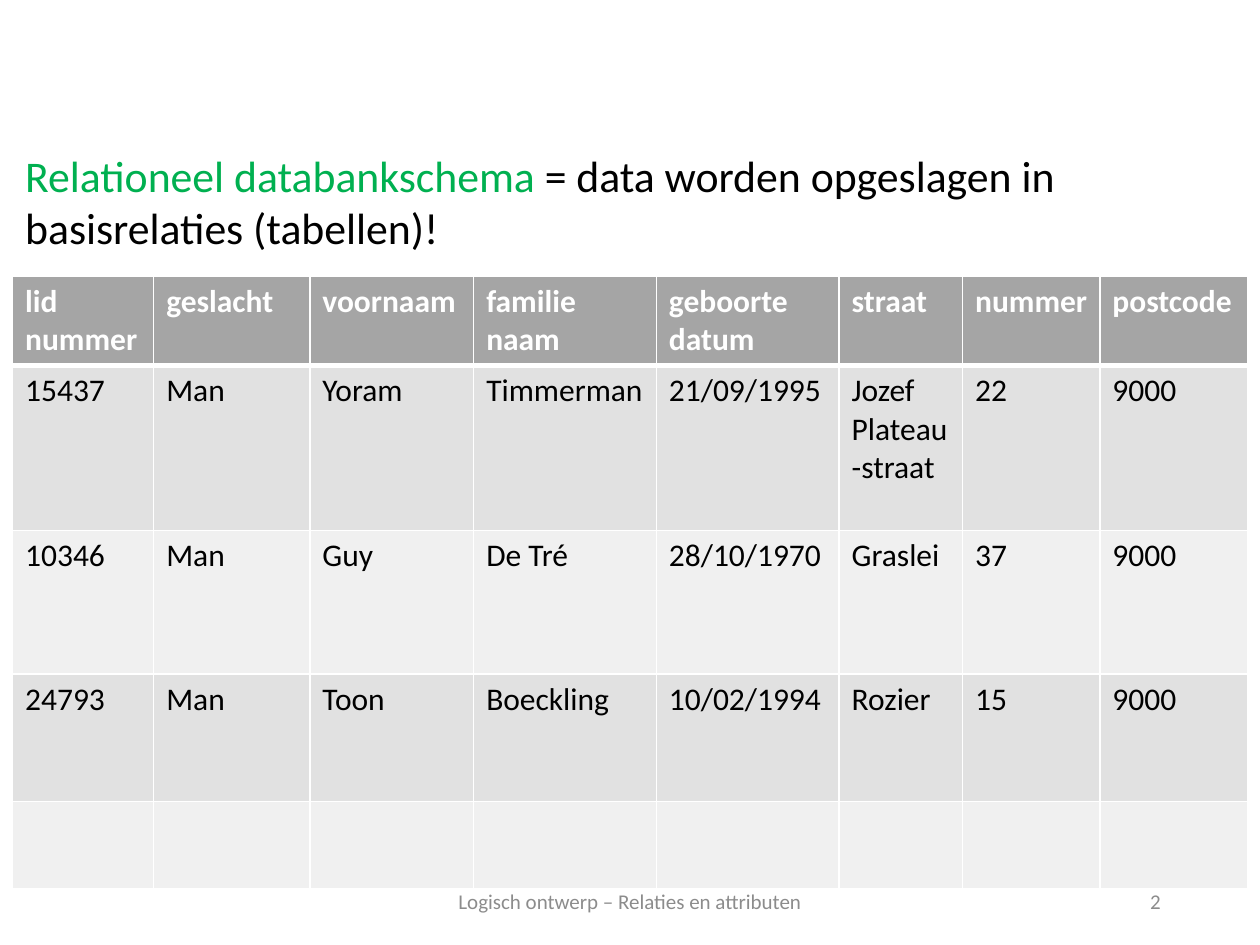
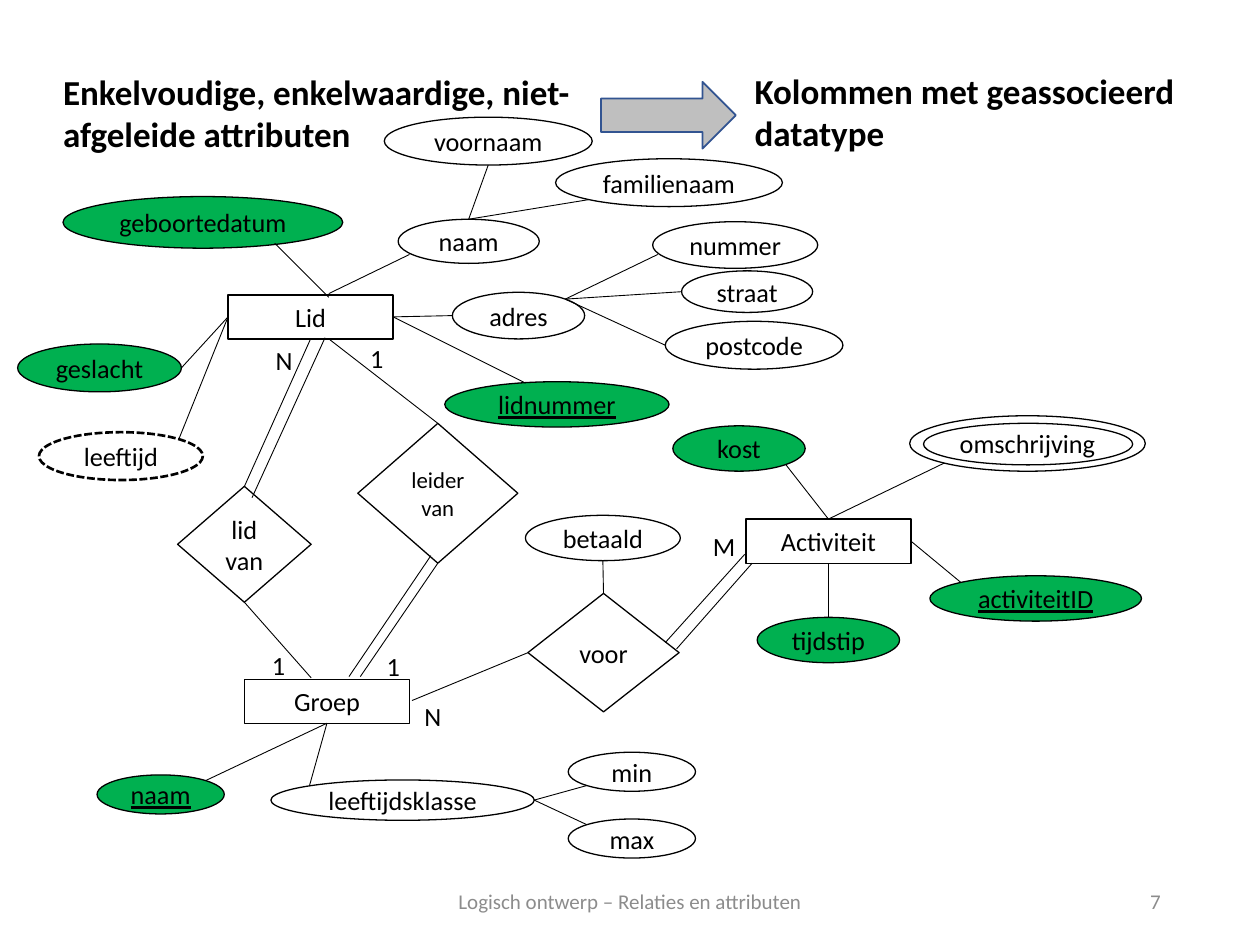
from dataclasses import dataclass
from math import sqrt

from lxml.etree import SubElement
from pptx import Presentation
from pptx.dml.color import RGBColor
from pptx.enum.dml import MSO_LINE
from pptx.enum.shapes import MSO_CONNECTOR, MSO_SHAPE
from pptx.enum.text import MSO_ANCHOR, MSO_AUTO_SIZE, PP_ALIGN
from pptx.oxml.ns import qn
from pptx.util import Inches, Pt


@dataclass(frozen=True)
class Theme:
    font: str = "Calibri"
    black: str = "000000"
    white: str = "FFFFFF"
    green: str = "00B050"
    footer_gray: str = "8C8C8C"
    arrow_fill: str = "BFBFBF"
    arrow_line: str = "325491"
    header_fill: str = "A5A5A5"
    band_fills: tuple = ("E1E1E1", "F0F0F0")
    statement_size: int = 25
    heading_size: int = 20
    table_size: int = 18
    node_size: int = 15
    small_size: int = 13
    footer_size: int = 12


THEME = Theme()
FOOTER = "Logisch ontwerp – Relaties en attributen"

# Table content; a line break starts a new paragraph
COLUMN_WIDTHS = [1.12, 1.24, 1.3, 1.45, 1.45, 0.98, 1.09, 1.17]
ROW_HEIGHTS = [0.71, 1.31, 1.14, 1.01, 0.69]
MEMBERS = [
    ["lid\nnummer", "geslacht", "voornaam", "familie\nnaam",
     "geboorte\ndatum", "straat", "nummer", "postcode"],
    ["15437", "Man", "Yoram", "Timmerman", "21/09/1995",
     "Jozef\nPlateau-straat", "22", "9000"],
    ["10346", "Man", "Guy", "De Tré", "28/10/1970", "Graslei", "37", "9000"],
    ["24793", "Man", "Toon", "Boeckling", "10/02/1994", "Rozier", "15", "9000"],
    [""] * 8,
]

# Entities and relationships: label, left, top, width, height
ENTITIES = [
    ("Lid", 1.81, 2.34, 1.31, 0.35),
    ("Groep", 1.94, 5.39, 1.31, 0.35),
    ("Activiteit", 5.92, 4.12, 1.31, 0.35),
]
RELATIONSHIPS = [
    ("lid van", 1.41, 3.86, 1.06, 0.92),
    ("leider van", 2.84, 3.36, 1.27, 1.11),
    ("voor", 4.19, 4.71, 1.2, 0.94),
]

# Attributes per kind; the part of a label before "/" only tells equal names apart
PLAIN_ATTRIBUTES = [
    ("straat", 5.41, 2.15, 1.04, 0.33),
    ("nummer", 5.18, 1.76, 1.31, 0.37),
    ("postcode", 5.28, 2.55, 1.41, 0.38),
    ("adres", 3.59, 2.32, 1.05, 0.37),
    ("leeftijdsklasse", 2.15, 6.19, 2.09, 0.32),
    ("min", 4.51, 5.97, 1.01, 0.31),
    ("max", 4.51, 6.5, 1.01, 0.31),
    ("betaald", 4.17, 4.09, 1.23, 0.36),
    ("omschrijving", 7.22, 3.3, 1.87, 0.44),
    ("Lid/naam", 3.16, 1.74, 1.12, 0.35),
    ("voornaam", 3.05, 0.93, 1.65, 0.38),
    ("familienaam", 4.41, 1.26, 1.8, 0.38),
]
MAPPED_ATTRIBUTES = [
    ("geslacht", 0.14, 2.73, 1.3, 0.38),
    ("kost", 5.34, 3.38, 1.05, 0.36),
    ("tijdstip", 6.01, 4.9, 1.13, 0.36),
    ("geboortedatum", 0.5, 1.56, 2.22, 0.41),
]
KEY_ATTRIBUTES = [
    ("Groep/naam", 0.77, 6.15, 1.01, 0.31),
    ("activiteitID", 7.38, 4.57, 1.68, 0.36),
    ("lidnummer", 3.53, 3.03, 1.78, 0.36),
]
DERIVED_ATTRIBUTE = ("leeftijd", 0.31, 3.43, 1.3, 0.38)
MULTIVALUED_RING = (7.33, 3.36, 1.66, 0.33)

# Each end is a node with a side, or a free point
LINKS = [
    (("straat", "left"), ("adres", "top right")),
    (("postcode", "left"), ("adres", "top right")),
    (("adres", "top right"), (5.22, 2.02)),
    (("Lid", "right"), ("adres", "left")),
    (("geslacht", "right"), ("Lid", "left")),
    (("leeftijd", "top right"), ("Lid", "left")),
    (("lid van", "top"), ("Lid", "bottom")),
    ((2, 3.95), (2.58, 2.68)),
    ((2.47, 5.38), ("lid van", "bottom")),
    (("Groep", "bottom"), ("Groep/naam", "top right")),
    (("leeftijdsklasse", "top left"), ("Groep", "bottom")),
    (("min", "bottom left"), ("leeftijdsklasse", "right")),
    (("max", "top left"), ("leeftijdsklasse", "right")),
    (("leider van", "bottom"), (2.86, 5.37)),
    ((3.42, 4.41), (2.77, 5.37)),
    ((2.61, 2.69), ("leider van", "top")),
    (("voor", "left"), (3.27, 5.56)),
    (("betaald", "bottom"), ("voor", "top")),
    (("omschrijving", "bottom left"), ("Activiteit", "top")),
    ((5.97, 4.47), (5.37, 5.15)),
    ((5.91, 4.4), (5.28, 5.1)),
    (("kost", "bottom right"), ("Activiteit", "top")),
    (("tijdstip", "top"), ("Activiteit", "bottom")),
    (("activiteitID", "top left"), ("Activiteit", "right")),
    ((4.17, 3.04), ("Lid", "right")),
    ((3.25, 2.02), (2.61, 2.33)),
    ((2.18, 1.93), (2.61, 2.36)),
    (("voornaam", "bottom"), ("Lid/naam", "top")),
    (("familienaam", "bottom left"), ("Lid/naam", "top")),
]
CARDINALITIES = [
    ("N", 2.09, 2.68), ("1", 2.84, 2.67), ("1", 2.06, 5.1),
    ("1", 2.97, 5.11), ("N", 3.27, 5.51), ("M", 5.56, 4.16),
]
CONNECTION_SITES = {"top": 0, "left": 1, "bottom": 2, "right": 3}


def color(value):
    return RGBColor.from_string(value)


def add_run(paragraph, text, size, ink=THEME.black, bold=False, underline=False):
    run = paragraph.add_run()
    run.text = text
    font = run.font
    font.name, font.size = THEME.font, Pt(size)
    font.bold, font.underline = bold, underline
    font.color.rgb = color(ink)


def place(shape, left, top, width, height):
    shape.left, shape.top = Inches(left), Inches(top)
    shape.width, shape.height = Inches(width), Inches(height)


def add_text(slide, text, box, size, ink=THEME.black, bold=False,
             align=PP_ALIGN.LEFT, anchor=MSO_ANCHOR.TOP, wrap=True):
    frame = slide.shapes.add_textbox(*map(Inches, box)).text_frame
    frame.word_wrap = wrap
    frame.vertical_anchor = anchor
    frame.paragraphs[0].alignment = align
    add_run(frame.paragraphs[0], text, size, ink, bold)


def set_title(slide, box, size, parts, bold=False):
    title = slide.shapes.title
    place(title, *box)
    frame = title.text_frame
    frame.word_wrap = True
    frame.auto_size = MSO_AUTO_SIZE.NONE
    frame.vertical_anchor = MSO_ANCHOR.TOP
    frame.paragraphs[0].alignment = PP_ALIGN.LEFT
    for text, ink in parts:
        add_run(frame.paragraphs[0], text, size, ink, bold)


def add_footer(slide, number):
    for text, left, width, align in [(FOOTER, 3.31, 3.38, PP_ALIGN.CENTER),
                                     (number, 7.06, 2.25, PP_ALIGN.RIGHT)]:
        add_text(slide, text, (left, 6.95, width, 0.4), THEME.footer_size,
                 THEME.footer_gray, align=align, anchor=MSO_ANCHOR.MIDDLE)


def set_borders(cell, top=1, bottom=1):
    properties = cell._tc.get_or_add_tcPr()
    widths = {"a:lnL": 1, "a:lnR": 1, "a:lnT": top, "a:lnB": bottom}
    for tag, width in widths.items():
        line = SubElement(properties, qn(tag), w=str(Pt(width)))
        fill = SubElement(line, qn("a:solidFill"))
        SubElement(fill, qn("a:srgbClr"), val=THEME.white)


def add_member_table(slide):
    frame = slide.shapes.add_table(len(MEMBERS), len(COLUMN_WIDTHS), Inches(0.1),
                                   Inches(2.19), Inches(9.8), Inches(4.86))
    table = frame.table
    for column, width in zip(table.columns, COLUMN_WIDTHS):
        column.width = Inches(width)
    for row, height in zip(table.rows, ROW_HEIGHTS):
        row.height = Inches(height)
    for row_index, values in enumerate(MEMBERS):
        header = row_index == 0
        fill = THEME.header_fill if header else THEME.band_fills[(row_index - 1) % 2]
        ink = THEME.white if header else THEME.black
        for column_index, value in enumerate(values):
            cell = table.cell(row_index, column_index)
            set_borders(cell, top=3 if row_index == 1 else 1, bottom=3 if header else 1)
            cell.fill.solid()
            cell.fill.fore_color.rgb = color(fill)
            for line_index, text in enumerate(value.split("\n") if value else []):
                text_frame = cell.text_frame
                paragraph = (text_frame.add_paragraph() if line_index
                             else text_frame.paragraphs[0])
                add_run(paragraph, text, THEME.table_size, ink, bold=header)


def add_outline(slide, kind, box, fill=None, line=THEME.black, weight=0.75):
    shape = slide.shapes.add_shape(kind, *map(Inches, box))
    shape.shadow.inherit = False
    if fill:
        shape.fill.solid()
        shape.fill.fore_color.rgb = color(fill)
    else:
        shape.fill.background()
    shape.line.color.rgb = color(line)
    shape.line.width = Pt(weight)
    return shape


def add_node(slide, kind, node, fill=None, size=THEME.node_size, underline=False,
             weight=0.75):
    name, *box = node
    shape = add_outline(slide, kind, box, fill, weight=weight)
    frame = shape.text_frame
    frame.word_wrap = kind == MSO_SHAPE.DIAMOND
    frame.margin_left = frame.margin_right = Inches(0.05)
    is_entity = kind == MSO_SHAPE.RECTANGLE
    frame.vertical_anchor = MSO_ANCHOR.TOP if is_entity else MSO_ANCHOR.MIDDLE
    frame.paragraphs[0].alignment = PP_ALIGN.CENTER
    add_run(frame.paragraphs[0], name.split("/")[-1], size, underline=underline)
    return shape


def side_point(shape, side):
    """Point on a side; a double side is the 45 degree point of an ellipse."""
    x = ("right" in side) - ("left" in side)
    y = ("bottom" in side) - ("top" in side)
    reach = 1 / sqrt(2) if x and y else 1
    return (int(shape.left + shape.width * (1 + x * reach) / 2),
            int(shape.top + shape.height * (1 + y * reach) / 2))


def add_link(slide, nodes, start, end):
    points = [side_point(nodes[a], b) if a in nodes else (Inches(a), Inches(b))
              for a, b in (start, end)]
    link = slide.shapes.add_connector(MSO_CONNECTOR.STRAIGHT, *points[0], *points[1])
    for (name, side), connect in ((start, link.begin_connect), (end, link.end_connect)):
        if name in nodes and nodes[name].auto_shape_type != MSO_SHAPE.OVAL:
            connect(nodes[name], CONNECTION_SITES[side])
    link.line.color.rgb = color(THEME.black)
    link.line.width = Pt(0.5)
    SubElement(link._element.spPr, qn("a:effectLst"))


def add_diagram(slide):
    nodes = {}
    # Entities and relationships
    for node in ENTITIES:
        nodes[node[0]] = add_node(slide, MSO_SHAPE.RECTANGLE, node)
    for node in RELATIONSHIPS:
        size = THEME.small_size if node[0] == "leider van" else THEME.node_size
        nodes[node[0]] = add_node(slide, MSO_SHAPE.DIAMOND, node, THEME.white, size)
    # Attributes
    for group, fill, underline in [(PLAIN_ATTRIBUTES, THEME.white, False),
                                   (MAPPED_ATTRIBUTES, THEME.green, False),
                                   (KEY_ATTRIBUTES, THEME.green, True)]:
        for node in group:
            nodes[node[0]] = add_node(slide, MSO_SHAPE.OVAL, node, fill,
                                      underline=underline)
    derived = add_node(slide, MSO_SHAPE.OVAL, DERIVED_ATTRIBUTE, weight=1.5)
    derived.line.dash_style = MSO_LINE.SQUARE_DOT
    nodes[DERIVED_ATTRIBUTE[0]] = derived
    add_outline(slide, MSO_SHAPE.OVAL, MULTIVALUED_RING)
    # Links and cardinalities
    for start, end in LINKS:
        add_link(slide, nodes, start, end)
    for text, left, top in CARDINALITIES:
        add_text(slide, text, (left, top, 0.33, 0.35), THEME.node_size, wrap=False)


def main():
    presentation = Presentation()
    presentation.slide_width, presentation.slide_height = Inches(10), Inches(7.5)
    title_only = presentation.slide_layouts[5]

    # Table of members
    slide = presentation.slides.add_slide(title_only)
    set_title(slide, (0.1, 1.13, 9.8, 0.94), THEME.statement_size, [
        ("Relationeel databankschema ", THEME.green),
        ("= data worden opgeslagen in basisrelaties (tabellen)!", THEME.black)])
    add_member_table(slide)
    add_footer(slide, "2")

    # Entity-relationship diagram
    slide = presentation.slides.add_slide(title_only)
    set_title(slide, (0.4, 0.51, 4.48, 0.77), THEME.heading_size, [
        ("Enkelvoudige, enkelwaardige, niet-afgeleide attributen", THEME.black)], bold=True)
    add_outline(slide, MSO_SHAPE.RIGHT_ARROW, (4.77, 0.65, 1.07, 0.53),
                THEME.arrow_fill, THEME.arrow_line, weight=1)
    add_text(slide, "Kolommen met geassocieerd datatype", (5.89, 0.5, 3.54, 0.77),
             THEME.heading_size, bold=True)
    add_diagram(slide)
    add_footer(slide, "7")

    presentation.save("out.pptx")


if __name__ == "__main__":
    main()
